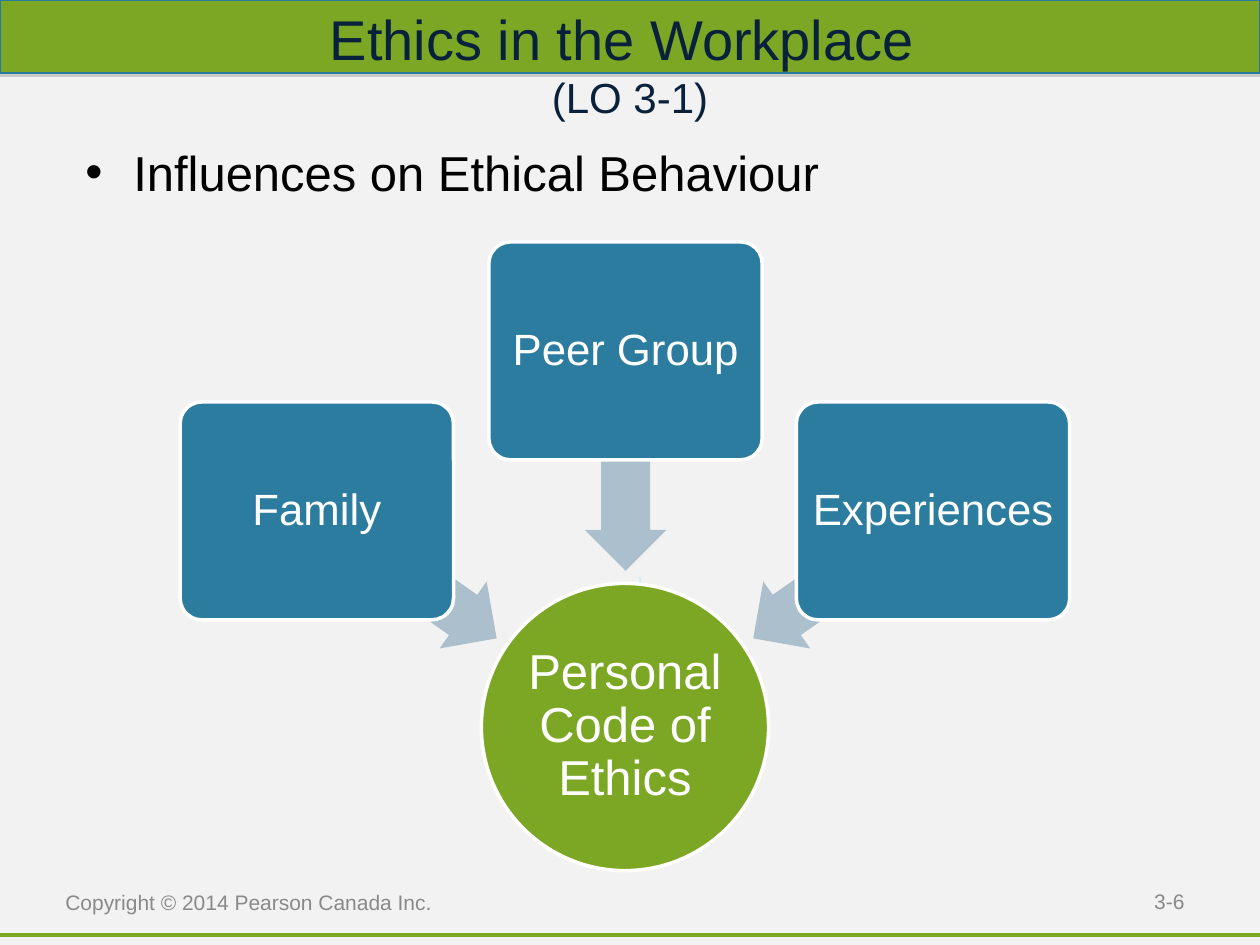
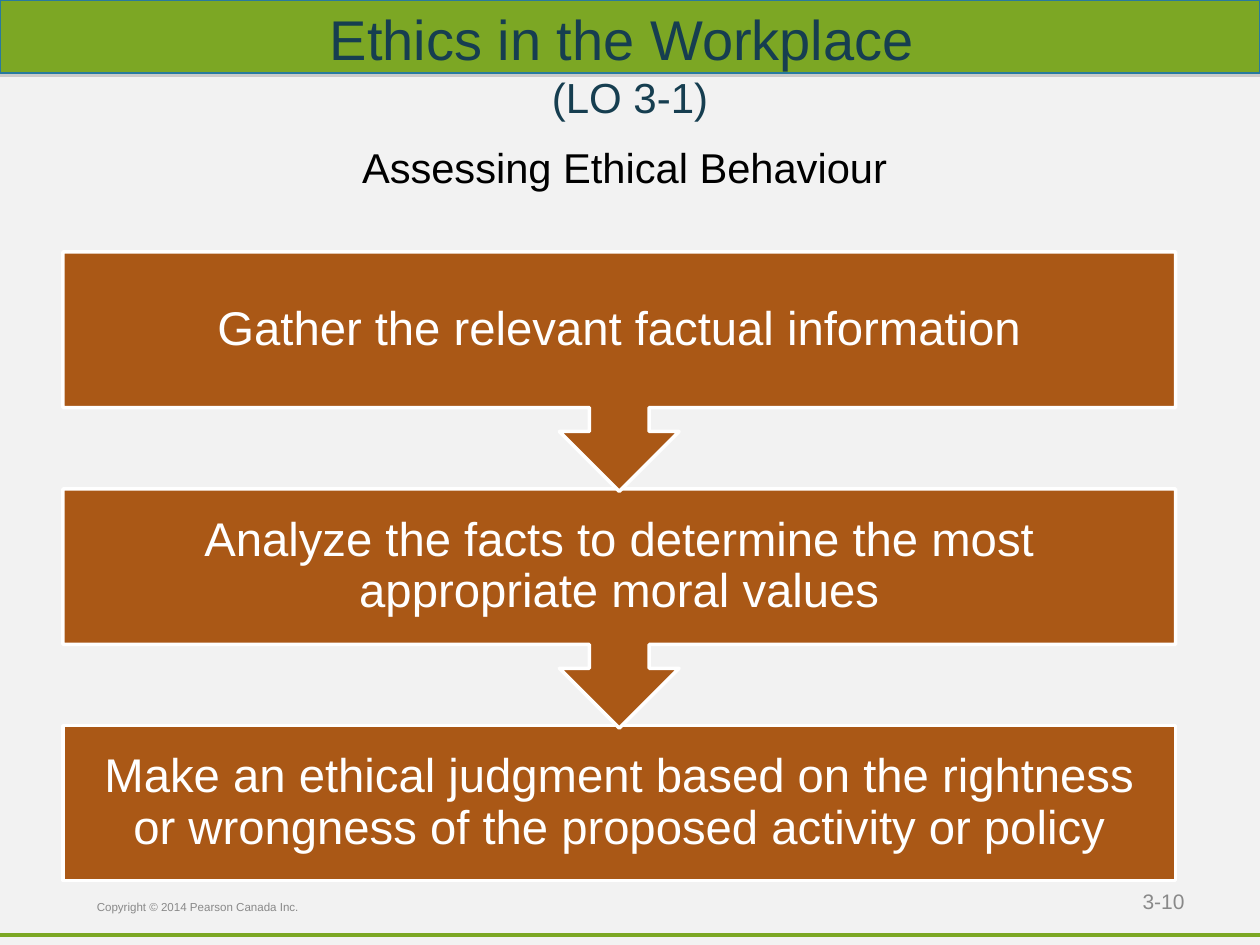
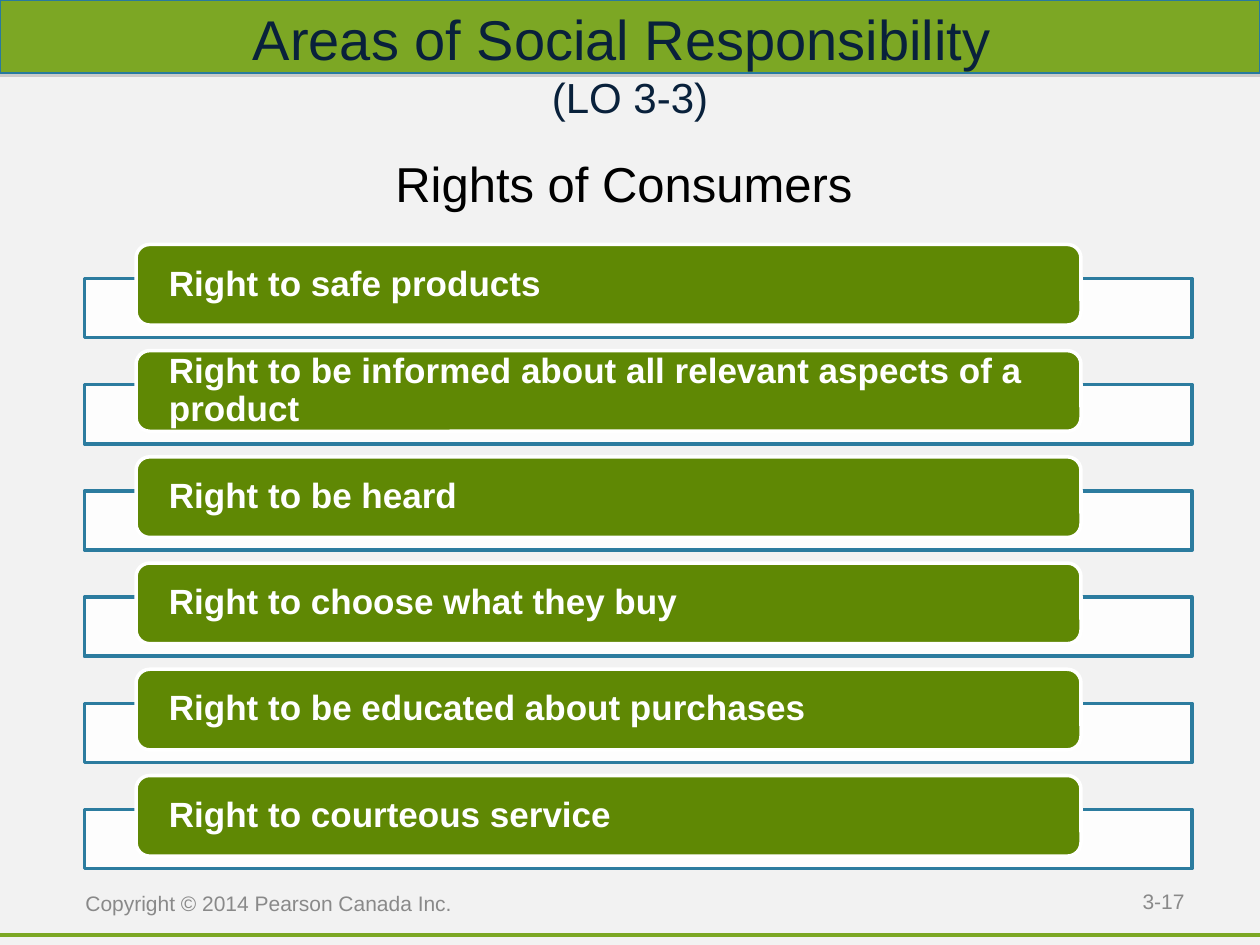
from lxml.etree import SubElement
from pptx import Presentation
from pptx.dml.color import RGBColor
from pptx.enum.shapes import MSO_CONNECTOR as Connector, MSO_SHAPE as Preset
from pptx.enum.text import MSO_ANCHOR as Anchor, MSO_AUTO_SIZE as AutoSize, PP_ALIGN as Align
from pptx.oxml.ns import qn
from pptx.util import Inches, Pt

COLOURS = {
    "background": "F2F2F2",
    "band": "7CA724",
    "band_edge": "287A9E",
    "shadow": "808080",
    "navy": "09213B",
    "teal": "163E50",
    "black": "000000",
    "white": "FFFFFF",
    "grey": "898989",
    "influence": "2C7C9F",
    "arrow": "ACBFCD",
    "stem": "D5EDF4",
    "step": "AA5816",
    "right": "5F8804",
}
FONT = "Arial"
COPYRIGHT = "Copyright © 2014 Pearson Canada Inc."
TEXT_INSETS = (0.1, 0.05, 0.1, 0.05)
INFLUENCES = [
    ("Family", (0, 1.27), (0.92, 2.32), 215),
    ("Peer Group", (2.45, 0), (2.66, 1.41), 270),
    ("Experiences", (4.89, 1.27), (4.39, 2.32), 325),
]
STEPS = [
    "Gather the relevant factual information",
    "Analyze the facts to determine the most appropriate moral values",
    "Make an ethical judgment based on the rightness or wrongness of the proposed activity or policy",
]
RIGHTS = [
    "Right to safe products",
    "Right to be informed about all relevant aspects of a product",
    "Right to be heard",
    "Right to choose what they buy",
    "Right to be educated about purchases",
    "Right to courteous service",
]


def colour(name):
    return RGBColor.from_string(COLOURS[name])


def apply_format(target, values):
    for name, value in values.items():
        setattr(target, name, value)


def add_span(para, text, size, ink, bold=False):
    span = para.add_run()
    span.text = text
    apply_format(span.font, {"name": FONT, "size": Pt(size), "bold": bold})
    span.font.color.rgb = colour(ink)


def prepare_frame(frame, insets, anchor):
    sides = ("margin_left", "margin_top", "margin_right", "margin_bottom")
    apply_format(frame, dict(zip(sides, map(Inches, insets))))
    apply_format(frame, {"word_wrap": True, "auto_size": AutoSize.NONE, "vertical_anchor": anchor})


def write(shape, text, size, ink, insets=TEXT_INSETS, anchor=Anchor.MIDDLE, bold=False, **layout):
    prepare_frame(shape.text_frame, insets, anchor)
    para = shape.text_frame.paragraphs[0]
    apply_format(para, layout)
    add_span(para, text, size, ink, bold)
    return para


def add_label(page, box, text, size, ink, **layout):
    label = page.shapes.add_textbox(*map(Inches, box))
    return write(label, text, size, ink, **layout)


def add_block(page, preset, box, fill, edge=None, width=2, adjustments=()):
    block = page.shapes.add_shape(preset, *map(Inches, box))
    block.shadow.inherit = False
    block.fill.solid()
    block.fill.fore_color.rgb = colour(fill)
    if edge:
        block.line.color.rgb = colour(edge)
        block.line.width = Pt(width)
    else:
        block.line.fill.background()
    for index, value in enumerate(adjustments):
        block.adjustments[index] = value
    return block


def add_line(page, start, end, ink, width):
    line = page.shapes.add_connector(Connector.STRAIGHT, *map(Inches, start + end))
    line.line.color.rgb = colour(ink)
    line.line.width = Pt(width)
    SubElement(line.element.spPr, qn("a:effectLst"))


def add_band_shadow(band):
    effects = band.element.spPr.find(qn("a:effectLst"))
    shadow = SubElement(effects, qn("a:outerShdw"), blurRad="0", dist=str(Pt(1.8)), dir="5400000")
    tone = SubElement(shadow, qn("a:srgbClr"), val=COLOURS["shadow"])
    SubElement(tone, qn("a:alpha"), val="35000")


def add_title(page, heading, objective, ink):
    title = page.shapes.title
    title.element.getparent().append(title.element)
    box = map(Inches, (0, 0, 10, 1))
    apply_format(title, dict(zip(("left", "top", "width", "height"), box)))
    para = write(title, heading, 32, ink, insets=(0.25,) * 4, alignment=Align.CENTER)
    para.add_line_break()
    line_break = para.runs[0]._r.getnext()
    SubElement(line_break, qn("a:rPr"), sz="3200")
    add_span(para, objective, 24, ink)


def add_page(deck, heading, objective, ink, number, footer_box, footer_size=12):
    page = deck.slides.add_slide(deck.slide_layouts.get_by_name("Title Only"))
    add_line(page, (0, 7.42), (10, 7.42), "band", 2)
    band = add_block(page, Preset.RECTANGLE, (0, 0, 10, 0.58), "band", "band_edge", 0.75)
    add_band_shadow(band)
    add_title(page, heading, objective, ink)
    add_label(page, footer_box, COPYRIGHT, footer_size, "grey")
    add_label(page, (7.17, 6.95, 2.33, 0.4), number, 12, "grey", alignment=Align.RIGHT)
    return page


def add_subtitle(page, box, text, size):
    add_label(page, box, text, size, "black", anchor=Anchor.TOP, alignment=Align.CENTER)


def add_bullet_line(page, box, text):
    para = add_label(page, box, text, 28, "black", anchor=Anchor.TOP)
    properties = para._p.get_or_add_pPr()
    apply_indent = {"marL": Inches(0.38), "indent": -Inches(0.38)}
    for name, value in apply_indent.items():
        properties.set(name, str(value))
    SubElement(properties, qn("a:buFont"), typeface=FONT)
    SubElement(properties, qn("a:buChar"), char="•")


def add_influences(page, left, top):
    centred = {"alignment": Align.CENTER, "line_spacing": 0.9}
    add_line(page, (left + 3.65, top + 3.13), (left + 3.65, top + 2.66), "stem", 1)
    code = add_block(page, Preset.OVAL, (left + 2.39, top + 2.71, 2.28, 2.28), "band", "white")
    write(code, "Personal Code of Ethics", 28, "white", insets=(0.02,) * 4,
          space_after=Pt(12.2), **centred)
    for name, (box_x, box_y), (arrow_x, arrow_y), angle in INFLUENCES:
        arrow = add_block(page, Preset.LEFT_ARROW, (left + arrow_x, top + arrow_y, 1.75, 0.65),
                          "arrow", adjustments=(0.6, 0.5))
        arrow.rotation = angle
        card = add_block(page, Preset.ROUNDED_RECTANGLE, (left + box_x, top + box_y, 2.17, 1.73),
                         "influence", "white", adjustments=(0.1,))
        write(card, name, 25, "white", insets=(0.05,) * 4, space_after=Pt(10.9), **centred)


def add_steps(page, left, top, width):
    pitch, callout_height, last_height = 1.88, 1.9, 1.23
    last = len(STEPS) - 1
    for index, text in reversed(list(enumerate(STEPS))):
        is_last = index == last
        preset = Preset.RECTANGLE if is_last else Preset.DOWN_ARROW_CALLOUT
        height = last_height if is_last else callout_height
        adjustments = () if is_last else (0.25, 0.25, 0.25, 0.65)
        step = add_block(page, preset, (left, top + index * pitch, width, height),
                         "step", "white", adjustments=adjustments)
        write(step, text, 27, "white", insets=(0.21,) * 4, alignment=Align.CENTER,
              line_spacing=0.9, space_after=Pt(11.8))


def add_rights(page, left, top, width):
    pitch = 0.843
    for index, text in enumerate(RIGHTS):
        row = top + index * pitch
        frame = add_block(page, Preset.RECTANGLE, (left, row + 0.27, width, 0.47),
                          "white", "influence")
        tone = frame.element.spPr.find(qn("a:solidFill"))[0]
        SubElement(tone, qn("a:alpha"), val="90000")
        pill = add_block(page, Preset.ROUNDED_RECTANGLE, (left + 0.41, row, 7.5, 0.64),
                         "right", "white", adjustments=(0.17,))
        write(pill, text, 20, "white", insets=(0.23, 0, 0.23, 0), bold=True,
              alignment=Align.LEFT, line_spacing=0.9, space_after=Pt(8.8))


def build_influences_page(deck):
    page = add_page(deck, "Ethics in the Workplace ", "(LO 3-1)", "navy", "3-6",
                    (0.42, 7, 3.42, 0.32))
    add_bullet_line(page, (0.58, 1.08, 9.17, 0.58), "Influences on Ethical Behaviour")
    add_influences(page, 1.43, 1.92)


def build_steps_page(deck):
    page = add_page(deck, "Ethics in the Workplace ", "(LO 3-1)", "teal", "3-10",
                    (0.67, 7.08, 3.17, 0.23), 6.6)
    add_subtitle(page, (1.83, 1.08, 6.25, 0.5), "Assessing Ethical Behaviour", 23.8)
    add_steps(page, 0.5, 2, 8.83)


def build_rights_page(deck):
    page = add_page(deck, "Areas of Social Responsibility ", "(LO 3-3)", "navy", "3-17",
                    (0.58, 7, 3.33, 0.33))
    add_subtitle(page, (0.42, 1.17, 9.17, 0.58), "Rights of Consumers ", 28)
    add_rights(page, 0.67, 1.94, 8.79)


def main():
    deck = Presentation()
    apply_format(deck, {"slide_width": Inches(10), "slide_height": Inches(7.5)})
    backdrop = deck.slide_master.background.fill
    backdrop.solid()
    backdrop.fore_color.rgb = colour("background")
    build_influences_page(deck)
    build_steps_page(deck)
    build_rights_page(deck)
    deck.save("out.pptx")


if __name__ == "__main__":
    main()
